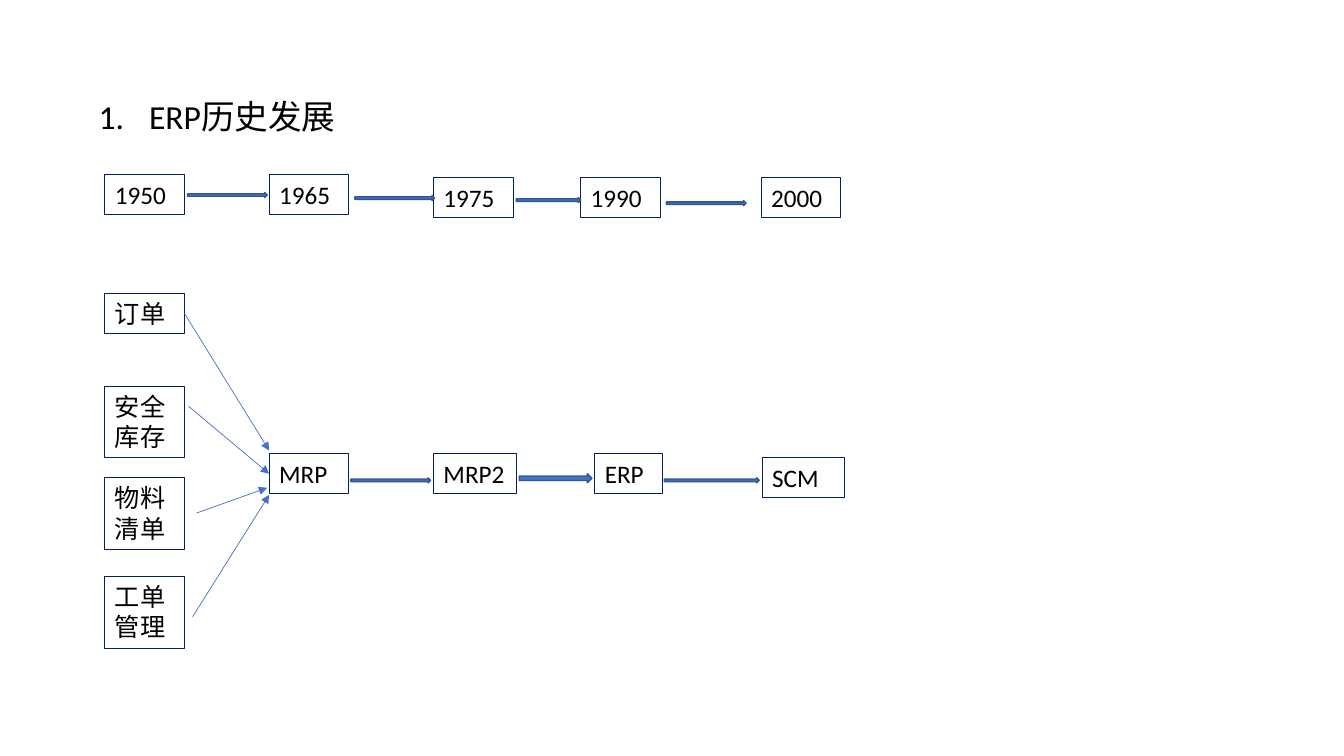
"""Builds a slide on the history of ERP, from 1950 to 2000."""
import lxml.etree
import pptx
import pptx.dml.color
import pptx.enum.shapes
import pptx.enum.text
import pptx.oxml.ns
import pptx.util
from pptx.util import Inches

BLACK = pptx.dml.color.RGBColor(0x00, 0x00, 0x00)
NAVY = pptx.dml.color.RGBColor(0x00, 0x20, 0x60)
BLUE = pptx.dml.color.RGBColor(0x44, 0x72, 0xC4)
DARK_BLUE = pptx.dml.color.RGBColor(0x32, 0x54, 0x91)
FONT = "Calibri"


def set_text(frame, text, size):
    """Writes one left-aligned paragraph and returns it."""
    frame.word_wrap = True
    frame.vertical_anchor = pptx.enum.text.MSO_ANCHOR.TOP
    paragraph = frame.paragraphs[0]
    paragraph.text = text
    paragraph.font.name = FONT
    paragraph.font.size = pptx.util.Pt(size)
    paragraph.font.color.rgb = BLACK
    return paragraph


def add_child(parent, tag, **attributes):
    """Appends a drawing element to the parent and returns it."""
    return lxml.etree.SubElement(parent, pptx.oxml.ns.qn(tag), attributes)


presentation = pptx.Presentation()
presentation.slide_width = Inches(13.33)
presentation.slide_height = Inches(7.5)
slide = presentation.slides.add_slide(presentation.slide_layouts[6])
shapes = slide.shapes

heading = shapes.add_textbox(Inches(0.88), Inches(0.95), Inches(11.65), Inches(5.74))
heading_line = set_text(heading.text_frame, "ERP历史发展", 24)
heading_line.line_spacing = 0.9
heading_line.space_before = pptx.util.Pt(10)
numbering = heading_line._p.get_or_add_pPr()
numbering.set("marL", str(Inches(0.5)))
numbering.set("indent", str(Inches(-0.5)))
add_child(numbering, "a:buFont", typeface="+mj-lt")
add_child(numbering, "a:buAutoNum", type="arabicPeriod")

labels = [
    ("1950", 1.04, 1.73, 0.79, 0.4),
    ("1965", 2.67, 1.73, 0.79, 0.4),
    ("1975", 4.3, 1.76, 0.79, 0.4),
    ("1990", 5.76, 1.76, 0.79, 0.4),
    ("2000", 7.55, 1.76, 0.79, 0.4),
    ("订单", 1.04, 2.91, 0.79, 0.4),
    ("安全库存", 1.04, 3.83, 0.79, 0.71),
    ("物料清单", 1.04, 4.74, 0.79, 0.71),
    ("工单管理", 1.04, 5.72, 0.79, 0.71),
    ("MRP", 2.67, 4.5, 0.79, 0.4),
    ("MRP2", 4.3, 4.5, 0.82, 0.4),
    ("ERP", 5.9, 4.5, 0.67, 0.4),
    ("SCM", 7.56, 4.54, 0.82, 0.4),
]
boxes = {}
for text, left, top, width, height in labels:
    box = shapes.add_textbox(Inches(left), Inches(top), Inches(width), Inches(height))
    box.line.color.rgb = NAVY
    box.line.width = pptx.util.Pt(0.75)
    set_text(box.text_frame, text, 18)
    box.text_frame.auto_size = pptx.enum.text.MSO_AUTO_SIZE.SHAPE_TO_FIT_TEXT
    boxes[text] = box

steps = [
    (1.86, 1.91, 0.79, 0.05),
    (3.52, 1.94, 0.79, 0.05),
    (5.12, 1.96, 0.64, 0.05),
    (6.61, 1.99, 0.79, 0.05),
    (3.48, 4.74, 0.79, 0.05),
    (5.15, 4.7, 0.72, 0.09),
    (6.59, 4.74, 0.94, 0.05),
]
for left, top, width, height in steps:
    step = shapes.add_shape(
        pptx.enum.shapes.MSO_SHAPE.RIGHT_ARROW,
        Inches(left), Inches(top), Inches(width), Inches(height),
    )
    step.shadow.inherit = False
    step.fill.solid()
    step.fill.fore_color.rgb = BLUE
    step.line.color.rgb = DARK_BLUE
    step.line.width = pptx.util.Pt(1)

inputs = [
    ("订单", 1.84, 3.12, 2.67, 4.47),
    ("安全库存", 1.87, 4.03, 2.67, 4.7),
    ("物料清单", 1.95, 5.09, 2.65, 4.84),
    ("工单管理", 1.91, 6.12, 2.67, 4.91),
]
for source, start_x, start_y, end_x, end_y in inputs:
    flow = shapes.add_connector(
        pptx.enum.shapes.MSO_CONNECTOR.STRAIGHT,
        Inches(start_x), Inches(start_y), Inches(end_x), Inches(end_y),
    )
    flow.line.color.rgb = BLUE
    flow.line.width = pptx.util.Pt(0.5)
    add_child(flow.line._get_or_add_ln(), "a:tailEnd", type="triangle")
    add_child(flow._element.spPr, "a:effectLst")
    if source == "订单":
        flow.begin_connect(boxes[source], 3)
    if source == "安全库存":
        flow.end_connect(boxes["MRP"], 1)

presentation.save("out.pptx")
